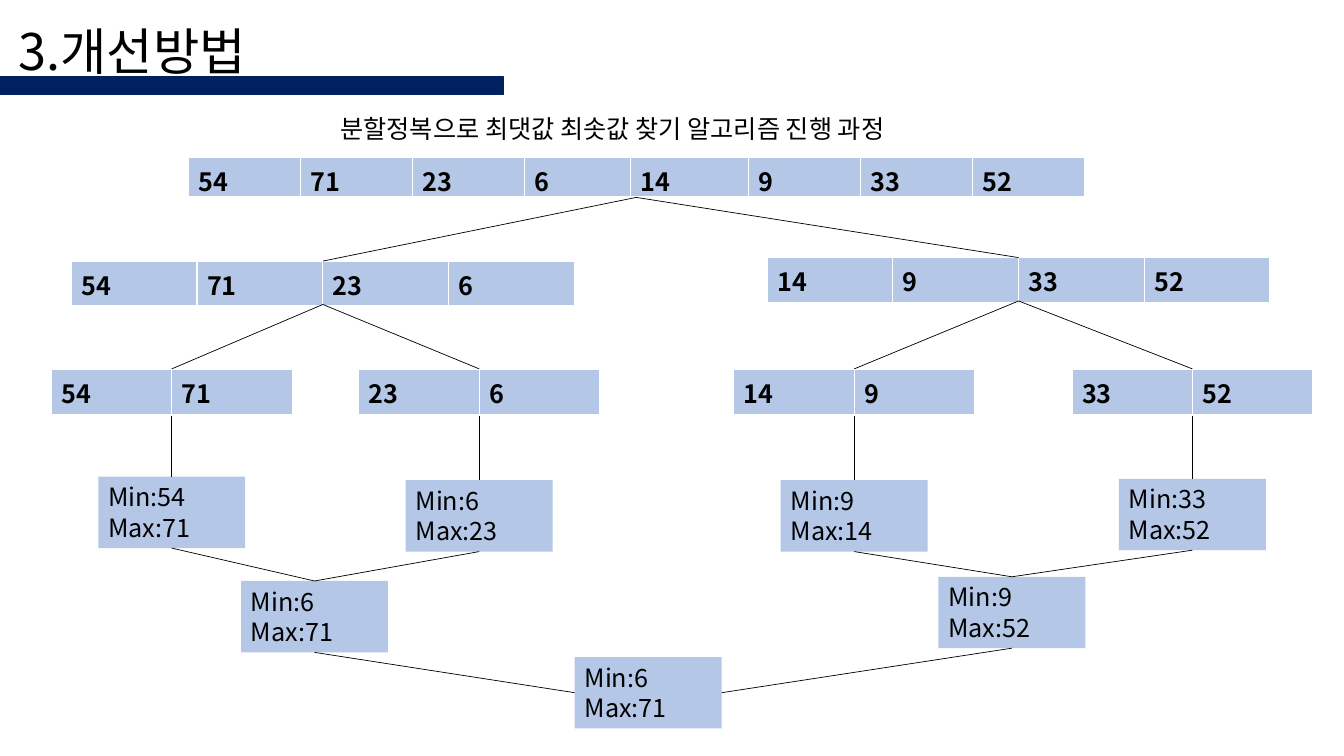
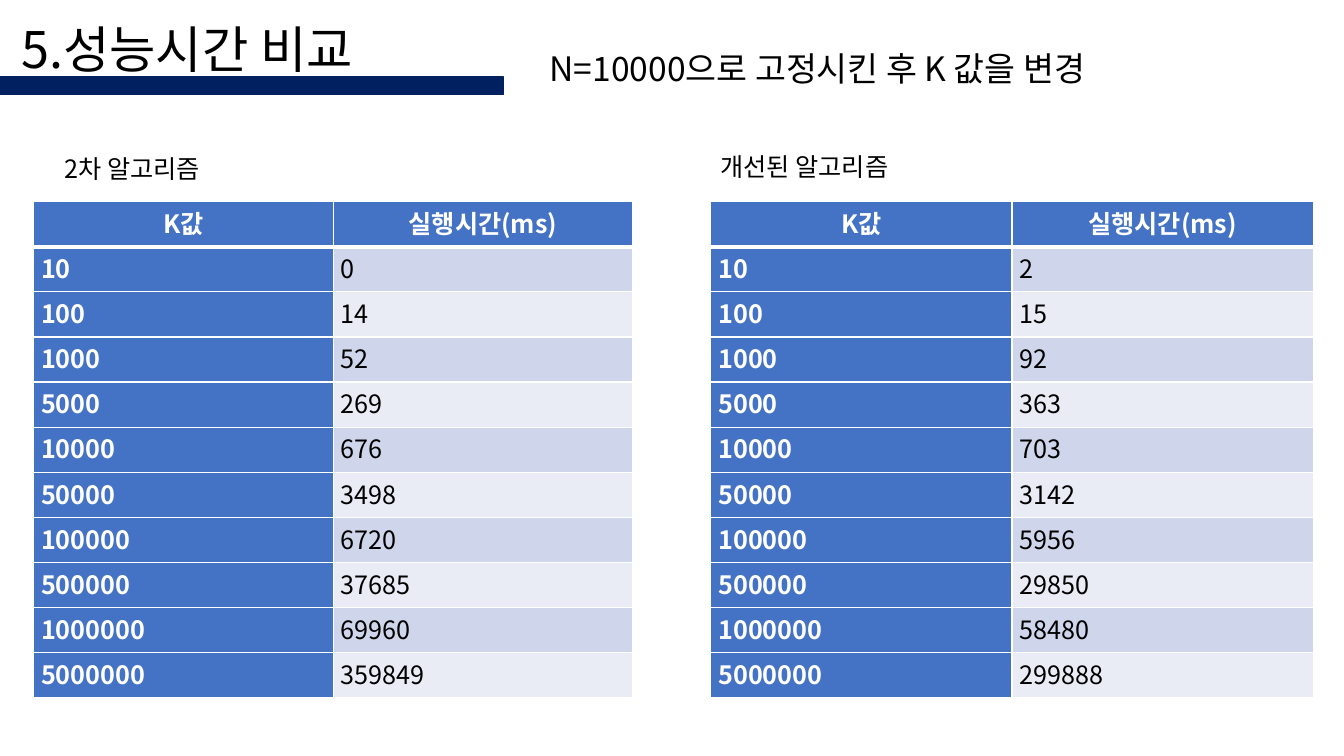
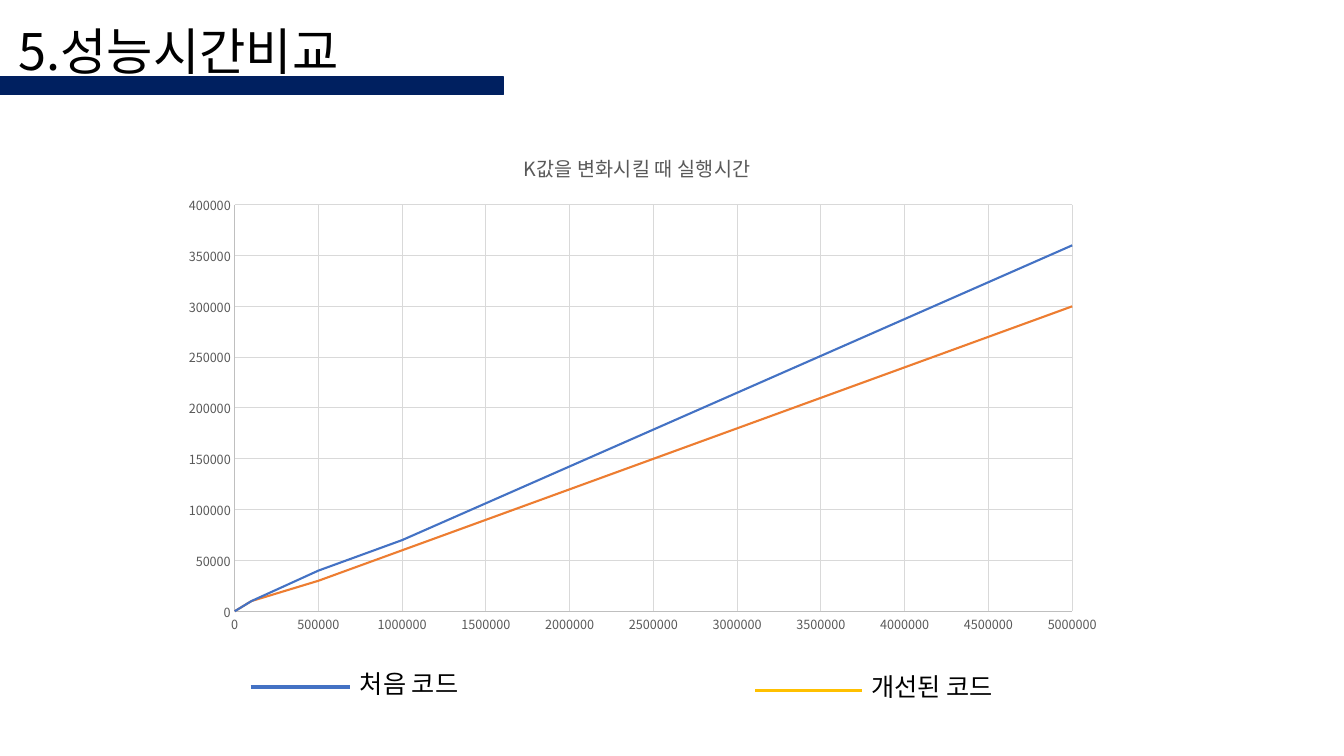
from dataclasses import dataclass

from pptx import Presentation
from pptx.chart.data import XyChartData
from pptx.dml.color import RGBColor
from pptx.enum.chart import XL_CHART_TYPE, XL_TICK_MARK
from pptx.enum.shapes import MSO_CONNECTOR, MSO_SHAPE
from pptx.enum.text import MSO_ANCHOR, MSO_AUTO_SIZE, PP_ALIGN
from pptx.oxml.ns import qn
from pptx.oxml.xmlchemy import OxmlElement
from pptx.util import Pt


@dataclass(frozen=True)
class Theme:
    font: str = "Noto Sans CJK KR"
    # Colours
    black: str = "000000"
    white: str = "FFFFFF"
    navy: str = "002060"
    pale_blue: str = "B4C7E7"
    blue: str = "4472C4"
    orange: str = "ED7D31"
    gold: str = "FFC000"
    band_dark: str = "CFD5EA"
    band_light: str = "E9EBF5"
    chart_text: str = "595959"
    axis: str = "BFBFBF"
    grid: str = "D9D9D9"
    # Type sizes and line height
    title: int = 36
    subtitle: int = 24
    body: int = 18
    chart_title: int = 14
    tick: int = 9
    leading: float = 1.2


THEME = Theme()

# Run times in ms: K, first algorithm, improved algorithm
TIMINGS = [
    (10, 0, 2),
    (100, 14, 15),
    (1000, 52, 92),
    (5000, 269, 363),
    (10000, 676, 703),
    (50000, 3498, 3142),
    (100000, 6720, 5956),
    (500000, 37685, 29850),
    (1000000, 69960, 58480),
    (5000000, 359849, 299888),
]


def rgb(color):
    return RGBColor.from_string(color)


def points(*lengths):
    return [Pt(length) for length in lengths]


# Text
def style_text(text_frame, size, color=THEME.black, bold=False,
               alignment=PP_ALIGN.LEFT, line_spacing=None):
    for paragraph in text_frame.paragraphs:
        paragraph.alignment = alignment
        paragraph.line_spacing = (
            line_spacing or Pt(round(size * THEME.leading, 1)))
        for run in paragraph.runs:
            run.font.name = THEME.font
            run.font.size = Pt(size)
            run.font.bold = bold
            run.font.color.rgb = rgb(color)
            properties = run._r.get_or_add_rPr()
            properties.set("kern", "0")
            east_asian = OxmlElement("a:ea")
            east_asian.set("typeface", THEME.font)
            properties.append(east_asian)


def add_text(slide, text, left, top, width, size=THEME.body):
    height = round(size * THEME.leading + 7.2, 2)
    shape = slide.shapes.add_textbox(*points(left, top, width, height))
    shape.text_frame.word_wrap = True
    shape.text_frame.auto_size = MSO_AUTO_SIZE.SHAPE_TO_FIT_TEXT
    shape.text_frame.text = text
    style_text(shape.text_frame, size)


# Shapes and lines
def add_rectangle(slide, left, top, width, height, fill, line=None):
    shape = slide.shapes.add_shape(
        MSO_SHAPE.RECTANGLE, *points(left, top, width, height))
    shape.shadow.inherit = False
    shape.fill.solid()
    shape.fill.fore_color.rgb = rgb(fill)
    if line:
        shape.line.color.rgb = rgb(line)
        shape.line.width = Pt(1)
    else:
        shape.line.fill.background()
    return shape


def add_line(slide, start, end, color=THEME.black, width=0.5):
    connector = slide.shapes.add_connector(
        MSO_CONNECTOR.STRAIGHT, *points(*start, *end))
    connector.line.color.rgb = rgb(color)
    connector.line.width = Pt(width)
    connector.element.find(qn("p:spPr")).append(OxmlElement("a:effectLst"))
    return connector


def join(slide, upper, upper_side, lower, lower_side):
    connector = add_line(slide, (0, 0), (0, 0))
    connector.begin_connect(upper, upper_side)
    connector.end_connect(lower, lower_side)


# Slide with the shared title and band
def add_titled_slide(presentation, title, left=6, top=11):
    slide = presentation.slides.add_slide(presentation.slide_layouts[5])
    shape = slide.shapes.title
    shape.left, shape.top, shape.width, shape.height = points(
        left, top, 350, 51)
    text_frame = shape.text_frame
    text_frame.text = title
    text_frame.vertical_anchor = MSO_ANCHOR.TOP
    text_frame.auto_size = MSO_AUTO_SIZE.NONE
    style_text(text_frame, THEME.title)
    band = add_rectangle(slide, 0, 55, 359.5, 12.5, THEME.navy, THEME.navy)
    shape.element.addprevious(band.element)
    return slide


# Tables
def set_borders(cell, row):
    widths = {"L": 1, "R": 1, "T": 3 if row == 1 else 1,
              "B": 3 if row == 0 else 1}
    properties = cell._tc.get_or_add_tcPr()
    for side, width in widths.items():
        line = OxmlElement(f"a:ln{side}")
        line.set("w", str(Pt(width)))
        fill = OxmlElement("a:solidFill")
        color = OxmlElement("a:srgbClr")
        color.set("val", THEME.white)
        fill.append(color)
        line.append(fill)
        properties.append(line)


def add_table(slide, left, top, columns, row_height, rows, style_cell):
    frame = slide.shapes.add_table(
        len(rows), len(columns),
        *points(left, top, sum(columns), row_height * len(rows)))
    table = frame.table
    for column, width in zip(table.columns, columns):
        column.width = Pt(width)
    for row, values in enumerate(rows):
        table.rows[row].height = Pt(row_height)
        for column, value in enumerate(values):
            cell = table.cell(row, column)
            cell.text_frame.text = str(value)
            set_borders(cell, row)
            cell.fill.solid()
            cell.fill.fore_color.rgb = rgb(style_cell(cell, row, column))


def style_array_cell(cell, row, column):
    cell.margin_bottom = 0
    style_text(cell.text_frame, THEME.body, bold=True, line_spacing=1.0)
    return THEME.pale_blue


def style_timing_cell(cell, row, column):
    cell.margin_left = cell.margin_right = Pt(5.4)
    cell.margin_top = cell.margin_bottom = 0
    heading = row == 0 or column == 0
    style_text(cell.text_frame, THEME.body,
               THEME.white if heading else THEME.black, heading,
               PP_ALIGN.CENTER if row == 0 else PP_ALIGN.LEFT,
               line_spacing=1.07)
    cell.text_frame.paragraphs[0].space_after = Pt(8)
    if heading:
        return THEME.blue
    return THEME.band_dark if row % 2 else THEME.band_light


# Slide 1: divide and conquer tree
def add_array(slide, left, top, columns, row_height, values):
    add_table(slide, left, top, columns, row_height, [values],
              style_array_cell)
    return left + sum(columns) / 2


def add_result(slide, center, top, minimum, maximum):
    shape = add_rectangle(slide, center - 52.5, top, 105, 51, THEME.pale_blue)
    text_frame = shape.text_frame
    text_frame.text = f"Min:{minimum}\nMax:{maximum}"
    text_frame.vertical_anchor = MSO_ANCHOR.TOP
    style_text(text_frame, THEME.body)
    return shape


def build_tree_slide(presentation):
    slide = add_titled_slide(presentation, "3.개선방법")
    add_text(slide, "분할정복으로 최댓값 최솟값 찾기 알고리즘 진행 과정",
             236, 77.5, 475)
    numbers = [54, 71, 23, 6, 14, 9, 33, 52]
    root_center = add_array(slide, 134.5, 112.3,
                            [80, 80, 80, 76, 84, 80, 80, 80], 28.8, numbers)

    # Halves, quarters and their results
    quarter_lefts = [36.7, 256.3, 524.2, 765.7]
    leaf_tops = [340.5, 343, 343, 342]
    leaves = []
    for half, (left, top) in enumerate([(51, 186.5), (548, 184)]):
        center = add_array(slide, left, top, [89.8] * 4, 32.8,
                           numbers[half * 4:half * 4 + 4])
        add_line(slide, (root_center, 141), (center, top))
        for quarter in (half * 2, half * 2 + 1):
            pair = numbers[quarter * 2:quarter * 2 + 2]
            quarter_center = add_array(slide, quarter_lefts[quarter], 263.5,
                                       [86, 86], 33.4, pair)
            add_line(slide, (center, top + 31), (quarter_center, 263.5))
            leaf = add_result(slide, quarter_center, leaf_tops[quarter],
                              min(pair), max(pair))
            connector = add_line(slide, (quarter_center, 297.4),
                                 (quarter_center, leaf_tops[quarter]))
            connector.end_connect(leaf, 0)
            leaves.append(leaf)

    # Merged results
    final = add_result(slide, 463, 469.3, min(numbers), max(numbers))
    for half, (center, top) in enumerate([(224.7, 415), (722.8, 412)]):
        values = numbers[half * 4:half * 4 + 4]
        merged = add_result(slide, center, top, min(values), max(values))
        for leaf in leaves[half * 2:half * 2 + 2]:
            join(slide, leaf, 2, merged, 0)
        join(slide, merged, 2, final, 3 if half else 1)


# Slide 2: timing tables
def build_timing_slide(presentation):
    slide = add_titled_slide(presentation, "5.성능시간 비교", 8, 9.4)
    add_text(slide, "N=10000으로 고정시킨 후 K 값을 변경", 385.5, 31, 570,
             THEME.subtitle)
    add_text(slide, "2차 알고리즘", 39, 106, 346)
    add_text(slide, "개선된 알고리즘", 507.5, 104.5, 385)
    for series, left, column_width in [(1, 24, 214), (2, 507.7, 215.2)]:
        rows = [("K값", "실행시간(ms)")]
        rows += [(timing[0], timing[series]) for timing in TIMINGS]
        add_table(slide, left, 144, [column_width] * 2, 32.25, rows,
                  style_timing_cell)


# Slide 3: timing chart
def set_layout(element, position, **values):
    layout = element.find(qn("c:layout"))
    if layout is not None:
        element.remove(layout)
    layout = OxmlElement("c:layout")
    manual = OxmlElement("c:manualLayout")
    layout.append(manual)
    for name, value in values.items():
        child = OxmlElement(f"c:{name}")
        child.set("val", str(value))
        manual.append(child)
    element.insert(position, layout)


def style_axis(axis, maximum, step):
    axis.minimum_scale = 0
    axis.maximum_scale = maximum
    axis.major_unit = step
    axis.major_tick_mark = axis.minor_tick_mark = XL_TICK_MARK.NONE
    axis.has_major_gridlines = True
    for line, color in [(axis.format.line, THEME.axis),
                        (axis.major_gridlines.format.line, THEME.grid)]:
        line.color.rgb = rgb(color)
        line.width = Pt(0.75)
    labels = axis.tick_labels
    labels.number_format = "General"
    labels.number_format_is_linked = False
    labels.font.name = THEME.font
    labels.font.size = Pt(THEME.tick)
    labels.font.color.rgb = rgb(THEME.chart_text)


def add_timing_chart(slide):
    # Values are rounded to what the axes can show
    chart_data = XyChartData()
    for column, name in enumerate(["처음 코드", "개선된 코드"], start=1):
        series = chart_data.add_series(name)
        for timing in TIMINGS:
            series.add_data_point(round(timing[0], -5),
                                  round(timing[column], -4))
    chart = slide.shapes.add_chart(
        XL_CHART_TYPE.XY_SCATTER_LINES_NO_MARKERS,
        *points(121, 94.3, 676, 365.8), chart_data).chart
    chart.has_legend = False
    chart.font.name = THEME.font
    chart.font.size = Pt(10)
    chart.plots[0].vary_by_categories = False
    for series, color in zip(chart.plots[0].series,
                             [THEME.blue, THEME.orange]):
        series.smooth = False
        series.format.line.color.rgb = rgb(color)
        series.format.line.width = Pt(1.5)
    style_axis(chart.category_axis, 5000000, 500000)
    style_axis(chart.value_axis, 400000, 50000)

    title = chart.chart_title
    title.text_frame.text = "K값을 변화시킬 때 실행시간"
    style_text(title.text_frame, THEME.chart_title, THEME.chart_text,
               alignment=PP_ALIGN.CENTER)
    set_layout(title.element, 1, xMode="edge", yMode="edge", x=0.37, y=0.03)
    set_layout(chart.element.xpath("c:chart/c:plotArea")[0], 0,
               layoutTarget="inner", xMode="edge", yMode="edge",
               x=0.069, y=0.142, w=0.885, h=0.794)


def build_chart_slide(presentation):
    slide = add_titled_slide(presentation, "5.성능시간비교")
    add_timing_chart(slide)
    # Key under the chart
    for text, left, right, middle, color in [
            ("처음 코드", 179, 250, 490.7, THEME.blue),
            ("개선된 코드", 539.5, 615.5, 493.2, THEME.gold)]:
        add_line(slide, (left, middle), (right, middle), color, 2.25)
        add_text(slide, text, right, middle - 17.2, 112)


def main():
    presentation = Presentation()
    presentation.slide_width, presentation.slide_height = points(960, 540)
    build_tree_slide(presentation)
    build_timing_slide(presentation)
    build_chart_slide(presentation)
    presentation.save("out.pptx")


if __name__ == "__main__":
    main()
